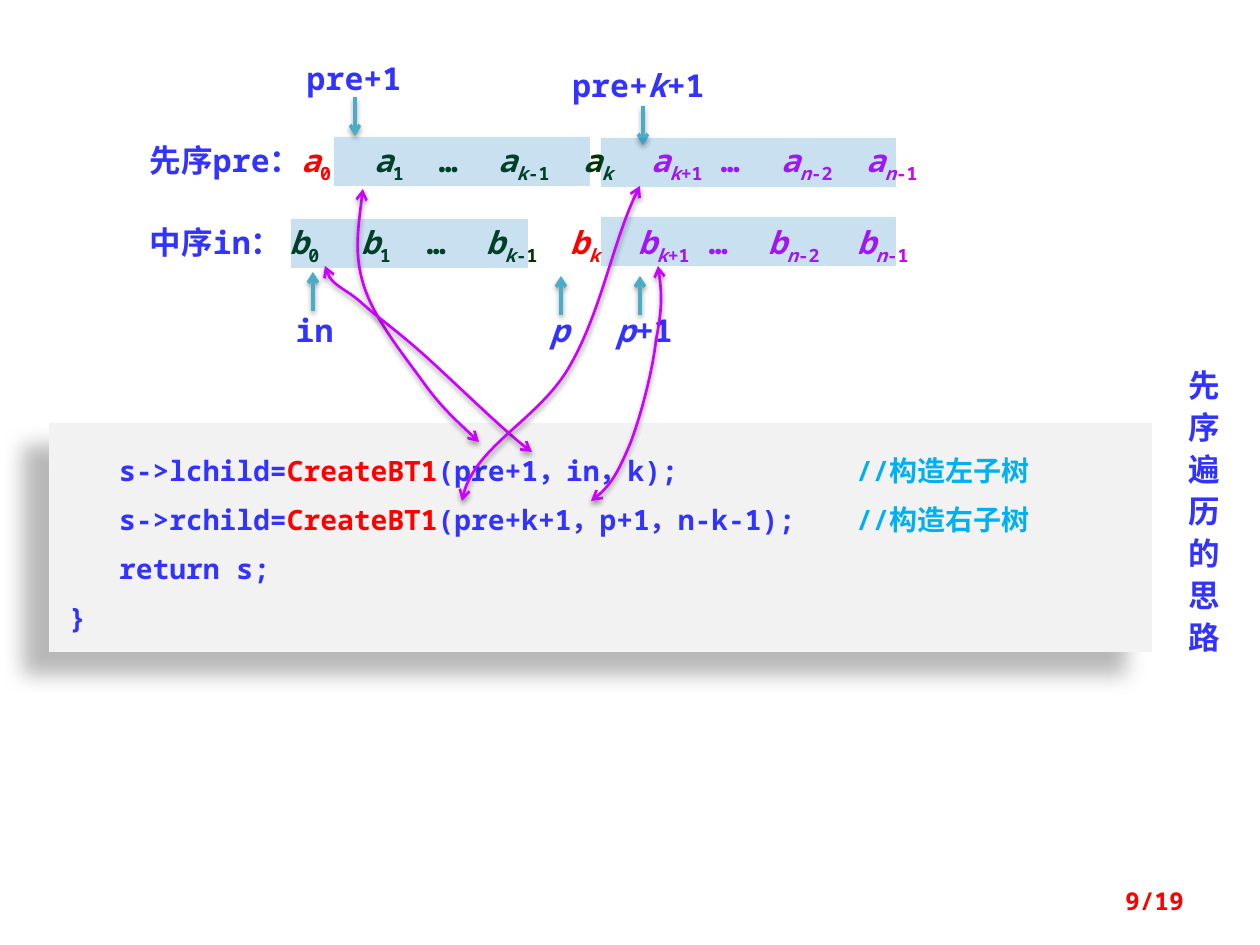
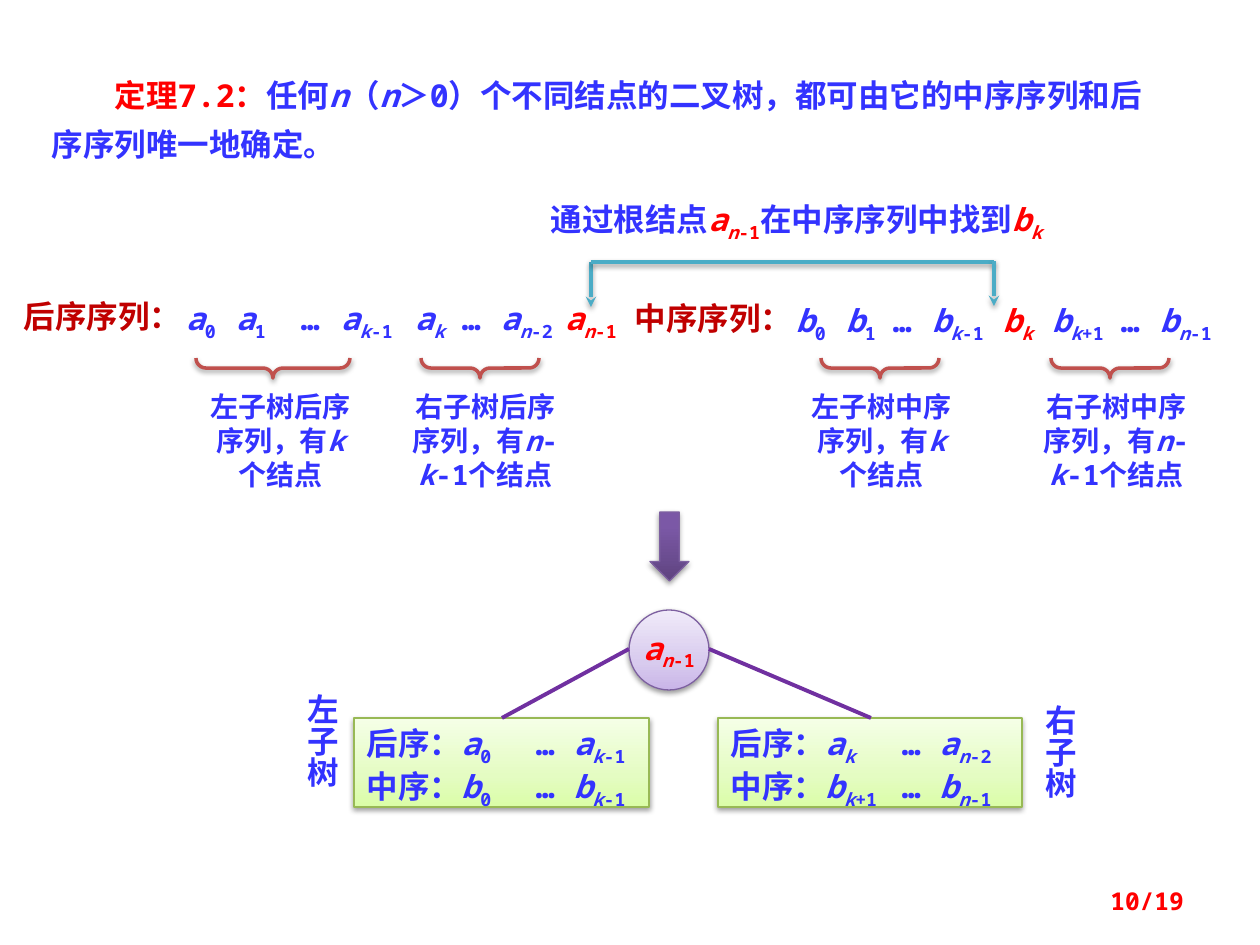
"""Builds two slides on rebuilding a binary tree from its traversal sequences."""
from lxml import etree
from pptx import Presentation
from pptx.dml.color import RGBColor
from pptx.enum.shapes import MSO_CONNECTOR, MSO_SHAPE
from pptx.enum.text import MSO_ANCHOR, PP_ALIGN
from pptx.oxml.ns import qn
from pptx.util import Pt

PX = 7257
LEFT, CENTER, RIGHT = PP_ALIGN.LEFT, PP_ALIGN.CENTER, PP_ALIGN.RIGHT
TOP, MIDDLE = MSO_ANCHOR.TOP, MSO_ANCHOR.MIDDLE
RECTANGLE, OVAL = MSO_SHAPE.RECTANGLE, MSO_SHAPE.OVAL
BRACE, DOWN_ARROW = MSO_SHAPE.LEFT_BRACE, MSO_SHAPE.DOWN_ARROW
STRAIGHT = MSO_CONNECTOR.STRAIGHT
MONO, CJK, CJK_JP = "Noto Sans Mono", "Noto Sans CJK SC", "Noto Sans CJK JP"
BLUE, RED, GREEN, PINK = "3333FF", "FF0000", "003300", "CC00FF"
SKY, TEAL, MAROON, VIOLET = "00B0F0", "4BACC6", "C00000", "7030A0"
SOFT = (38, 3.1, 1.6, 90)
LILAC = ((0, "C9B5E8"), (35, "D8CBEE"), (100, "F0EAF9"))
LIME = ((0, "DAFDA7"), (35, "E4FCC2"), (100, "F5FFE7"))
PURPLE = ((0, "5F4480"), (80, "7B58A6"), (100, "7C57A8"))
NO_INSET = (0, 0, 0, 0)


def write(page, box, lines, kind=None, size=18, font=MONO, align=LEFT,
          inset=(13, 6, 13, 6), tabs=(), anchor=TOP):
    """Add a text box or shape; ~ toggles italics and ^ toggles subscript."""
    area = [n * PX for n in box]
    shape = page.shapes.add_shape(kind, *area) if kind else page.shapes.add_textbox(*area)
    frame = shape.text_frame
    frame.word_wrap = True
    frame.vertical_anchor = anchor
    frame.margin_left, frame.margin_top, frame.margin_right, frame.margin_bottom = (
        n * PX for n in inset)
    for number, line in enumerate(lines):
        para = frame.add_paragraph() if number else frame.paragraphs[0]
        para.alignment = align
        if tabs:
            stops = etree.SubElement(para._p.get_or_add_pPr(), qn("a:tabLst"))
            for stop in tabs:
                position = (stop - box[0] - inset[0]) * PX
                etree.SubElement(stops, qn("a:tab"), pos=str(position), algn="l")
        for color, text in line:
            italic = False
            for part, piece in enumerate(text.split("^")):
                for turn, words in enumerate(piece.split("~")):
                    italic = italic != (turn > 0)
                    if not words:
                        continue
                    span = para.add_run()
                    span.text = words
                    span.font.size = Pt(size)
                    span.font.bold = True
                    span.font.italic = italic
                    span.font.name = font
                    span.font.color.rgb = RGBColor.from_string(color)
                    properties = span._r.get_or_add_rPr()
                    if part % 2:
                        properties.set("baseline", "-25000")
                    etree.SubElement(properties, qn("a:ea"),
                                     typeface=CJK if font == MONO else font)
    return shape


def finish(shape, fill=None, line=None, width=2, shadow=None, head=None, tail=None):
    """Set fill or gradient stops, line, arrowheads and shadow."""
    properties = shape._element.spPr
    if isinstance(fill, str):
        shape.fill.solid()
        shape.fill.fore_color.rgb = RGBColor.from_string(fill)
    elif fill:
        shape.fill.gradient()
        shape.fill.gradient_angle = 90
        stops = properties.find(".//" + qn("a:gsLst"))
        for old in list(stops):
            stops.remove(old)
        for position, color in fill:
            stop = etree.SubElement(stops, qn("a:gs"), pos=str(position * 1000))
            etree.SubElement(stop, qn("a:srgbClr"), val=color)
    elif hasattr(shape, "fill"):
        shape.fill.background()
    if line:
        shape.line.color.rgb = RGBColor.from_string(line)
        shape.line.width = Pt(width)
    else:
        shape.line.fill.background()
    for tag, arrow in (("a:headEnd", head), ("a:tailEnd", tail)):
        if arrow:
            etree.SubElement(properties.find(qn("a:ln")), qn(tag), type=arrow)
    effects = etree.SubElement(properties, qn("a:effectLst"))
    if shadow:
        alpha, blur, distance, angle = shadow
        outer = etree.SubElement(effects, qn("a:outerShdw"), blurRad=str(Pt(blur)),
                                 dist=str(Pt(distance)), dir=str(angle * 60000),
                                 algn="ctr", rotWithShape="0")
        color = etree.SubElement(outer, qn("a:srgbClr"), val="000000")
        etree.SubElement(color, qn("a:alpha"), val=str(alpha * 1000))


deck = Presentation()
deck.slide_width, deck.slide_height = 1260 * PX, 945 * PX
pages = [deck.slides.add_slide(deck.slide_layouts[6]) for _ in range(2)]
recursion, theorem = pages

code = write(recursion, (49, 423, 1103, 229), [
    [(BLUE, "   s->lchild="), (RED, "CreateBT1"), (BLUE, "(pre+1，in，k);\t"),
     (SKY, "//构造左子树")],
    [(BLUE, "   s->rchild="), (RED, "CreateBT1"), (BLUE, "(pre+k+1，p+1，n-k-1);\t"),
     (SKY, "//构造右子树")],
    [(BLUE, "   return s;")],
    [(BLUE, "}")],
], RECTANGLE, size=16, inset=(20, 15, 20, 20), tabs=[856])
finish(code, "F2F2F2", shadow=(28, 11.8, 19.7, 141))
for para in code.text_frame.paragraphs:
    para.line_spacing = Pt(28)

side_title = write(recursion, (1172, 364, 63, 354), [[(BLUE, "先序遍历的思路")]],
                   font=CJK, align=CENTER)
side_title.text_frame._txBody.bodyPr.set("vert", "eaVert")
for span in side_title.text_frame.paragraphs[0].runs:
    span._r.get_or_add_rPr().set("spc", "600")

write(recursion, (137, 135, 808, 50), [[
    (BLUE, "先序pre："), (RED, "~a~^0^\t"),
    (GREEN, "~a~^1^\t…\t~a^k~-1^\t~a^k^~\t"),
    (PINK, "~a^k~+1^\t…\t~a^n~-2^\t~a^n~-1^"),
]], tabs=[374, 439, 498, 583, 651, 721, 781, 866])
write(recursion, (137, 217, 798, 50), [[
    (BLUE, "中序in： "), (GREEN, "~b~^0^\t~b~^1^\t…\t~b^k~-1^\t"),
    (RED, "~b^k^~\t"), (PINK, "~b^k~+1^\t…\t~b^n~-2^\t~b^n~-1^"),
]], tabs=[361, 427, 486, 570, 638, 709, 768, 857])

for x, start, end, box, label in (
    (561, 315, 276, (525, 311, 69, 38), "~p~"),
    (355, 97, 136, (305, 59, 98, 38), "pre+1"),
    (643, 106, 145, (570, 66, 137, 38), "pre+~k~+1"),
    (640, 315, 276, (610, 311, 69, 38), "~p~+1"),
    (313, 311, 272, (280, 311, 69, 38), "in"),
):
    pointer = recursion.shapes.add_connector(STRAIGHT, x * PX, start * PX, x * PX, end * PX)
    finish(pointer, line=TEAL, shadow=SOFT, tail="arrow")
    write(recursion, box, [[(BLUE, label)]], align=CENTER, inset=NO_INSET)

for box in ((334, 137, 256, 49), (291, 219, 237, 49),
            (601, 138, 295, 49), (601, 217, 295, 49)):
    band = recursion.shapes.add_shape(RECTANGLE, *(n * PX for n in box))
    finish(band, "0070C0")
    tint = band._element.spPr.find(".//" + qn("a:srgbClr"))
    etree.SubElement(tint, qn("a:alpha"), val="21000")

for start, *points in (
    ((363, 189), (359, 222), (354, 255), (364, 286), (374, 318), (402, 353),
     (421, 379), (440, 406), (459, 423), (479, 442)),
    ((325, 266), (328, 285), (348, 290), (364, 305), (381, 320), (396, 330),
     (423, 354), (451, 379), (510, 437), (532, 452)),
    ((640, 186), (614, 236), (601, 311), (571, 364), (542, 417), (471, 447), (462, 501)),
    ((658, 266), (662, 289), (662, 310), (656, 340), (653, 369), (641, 416),
     (630, 444), (619, 470), (609, 489), (591, 501)),
):
    builder = recursion.shapes.build_freeform(*start, scale=PX)
    builder.add_line_segments(points, close=False)
    link = builder.convert_to_shape()
    outline = link._element.spPr.find(".//" + qn("a:path"))
    segments = outline.findall(qn("a:lnTo"))
    for first in range(0, len(segments), 3):
        curve = etree.SubElement(outline, qn("a:cubicBezTo"))
        for segment in segments[first:first + 3]:
            curve.append(segment[0])
            outline.remove(segment)
    finish(link, line=PINK, width=1.5, shadow=SOFT, head="arrow", tail="arrow")

statement = write(theorem, (39, 59, 1121, 107), [[
    (RED, "定理7.2："),
    (BLUE, "任何~n~（~n~＞0）个不同结点的二叉树，都可由它的中序序列和后序序列唯一地确定。"),
]])
para = statement.text_frame.paragraphs[0]
para.line_spacing = 1.3
para._p.get_or_add_pPr().set("indent", str(63 * PX))

for box, label in (((8, 297, 189, 38), "后序序列："), ((619, 299, 189, 38), "中序序列：")):
    write(theorem, box, [[(MAROON, label)]], font=CJK, align=CENTER, inset=NO_INSET)
write(theorem, (186, 299, 461, 38), [[
    (BLUE, "~a~^0^\t~a~^1^\t…\t~a^k~-1^\t~a^k^~\t…\t~a^n~-2^\t"), (RED, "~a^n~-1^"),
]], inset=NO_INSET, tabs=[236, 301, 341, 415, 462, 501, 565])
write(theorem, (796, 301, 422, 38), [[
    (BLUE, "~b~^0^\t~b~^1^\t…\t~b^k~-1^\t"), (RED, "~b^k^~\t"),
    (BLUE, "~b^k~+1^\t…\t~b^n~-1^"),
]], inset=NO_INSET, tabs=[846, 893, 932, 1003, 1052, 1121, 1160])

for left, width, label, middle, length in (
    (207, 147, "左子树后序序列，有~k~个结点", 273, 154),
    (410, 151, "右子树后序序列，有~n~-~k~-1个结点", 480, 118),
    (808, 147, "左子树中序序列，有~k~个结点", 880, 118),
    (1042, 149, "右子树中序序列，有~n~-~k~-1个结点", 1110, 118),
):
    write(theorem, (left, 390, width, 102), [[(BLUE, label)]], size=16,
          align=CENTER, inset=NO_INSET)
    brace = theorem.shapes.add_shape(BRACE, (middle - 10) * PX, (368 - length // 2) * PX,
                                     20 * PX, length * PX)
    brace.rotation = 270
    brace.adjustments[0] = 0.5
    finish(brace, line="C0504D", shadow=SOFT)

for ends, tail in (((591, 262, 591, 307), "stealth"), ((591, 262, 994, 262), None),
                   ((994, 261, 994, 306), "stealth")):
    bridge = theorem.shapes.add_connector(STRAIGHT, *(n * PX for n in ends))
    finish(bridge, line=TEAL, shadow=SOFT, tail=tail)
write(theorem, (551, 200, 532, 38), [[
    (BLUE, "通过根结点"), (RED, "~a^n~-1^"), (BLUE, "在中序序列中找到"), (RED, "~b^k^~"),
]], inset=NO_INSET)

root = write(theorem, (629, 610, 80, 80), [[(RED, "~a^n~-1^")]], OVAL, align=CENTER,
             inset=(0, 6, 0, 6), anchor=MIDDLE)
finish(root, LILAC, "7D60A0", 0.75, SOFT)

for box, post_order, in_order, dots, side_box, side, branch in (
    ((354, 718, 295, 89), "~a~^0^\t… ~a^k~-1^", "~b~^0^\t… ~b^k~-1^", 536,
     (291, 688, 63, 168), "左子树", (629, 649, 502, 718)),
    ((718, 718, 304, 89), "~a^k^~\t… ~a^n~-2^", "~b^k~+1^\t… ~b^n~-1^", 902,
     (1029, 699, 63, 168), "右子树", (709, 649, 871, 718)),
):
    subtree = write(theorem, box, [[(BLUE, "后序：" + post_order)],
                                   [(BLUE, "中序：" + in_order)]], RECTANGLE, tabs=[dots])
    finish(subtree, LIME, "98B955", 0.75, SOFT)
    name = write(theorem, side_box, [[(BLUE, side)]], font=CJK_JP, align=CENTER)
    name.text_frame._txBody.bodyPr.set("vert", "eaVert")
    edge = theorem.shapes.add_connector(STRAIGHT, *(n * PX for n in branch))
    finish(edge, line=VIOLET, width=2.25)

step = theorem.shapes.add_shape(DOWN_ARROW, 650 * PX, 512 * PX, 39 * PX, 69 * PX)
finish(step, PURPLE, "7D60A0", 0.75, SOFT)

for number, page in enumerate(pages, 9):
    write(page, (903, 876, 294, 50), [[(RED, f"{number}/19")]], size=14,
          align=RIGHT, anchor=MIDDLE)

deck.save("out.pptx")
